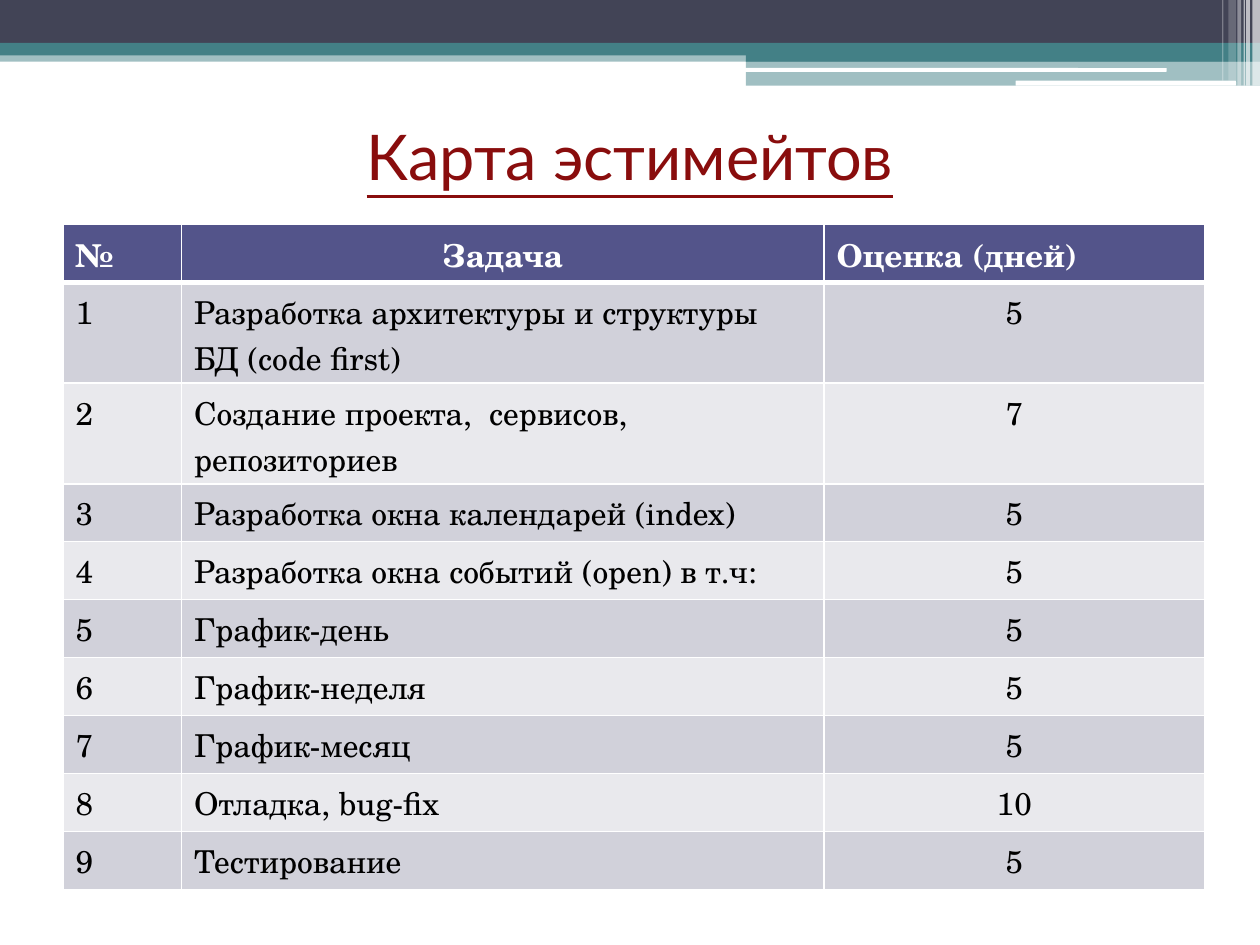
"""Build the estimate map slide: a layered header band, a title and a task table."""
from dataclasses import dataclass

from lxml.etree import SubElement
from pptx import Presentation
from pptx.dml.color import RGBColor
from pptx.enum.shapes import MSO_SHAPE as SHAPE
from pptx.enum.text import MSO_ANCHOR as ANCHOR, PP_ALIGN as ALIGN
from pptx.oxml.ns import qn
from pptx.util import Inches, Pt


@dataclass(frozen=True)
class Theme:
    navy: str = "424456"
    teal: str = "438086"
    white: str = "FFFFFF"
    black: str = "000000"
    red: str = "890D0D"
    header: str = "53548A"
    bands: tuple = ("D1D1DA", "E9E9ED")
    title_font: str = "Lato"
    body_font: str = "TeX Gyre Schola"
    title_size: int = 36
    body_size: int = 18


class Deck:
    """Hold the theme and current slide, placing elements on a 100 by 75 grid."""

    def __init__(self, theme, cols=100, rows=75):
        self.theme = theme
        self.prs = Presentation()
        self.prs.slide_width, self.prs.slide_height = Inches(10), Inches(7.5)
        self.dx, self.dy = self.prs.slide_width / cols, self.prs.slide_height / rows
        self.s = self.prs.slides.add_slide(self.prs.slide_layouts[6])

    def box(self, x, y, w, h):
        return [round(v * d) for v, d in zip((x, y, w, h), (self.dx, self.dy) * 2)]

    def bar(self, at, color, alpha=100, kind=SHAPE.RECTANGLE):
        sp = self.s.shapes.add_shape(kind, *self.box(*at))
        sp.shadow.inherit = False
        sp.line.fill.background()
        self.paint(sp.fill, color)
        if alpha < 100:
            clr = sp.element.spPr.find(qn("a:solidFill"))[0]
            SubElement(clr, qn("a:alpha"), val=str(alpha * 1000))

    def paint(self, fill, color):
        fill.solid()
        fill.fore_color.rgb = RGBColor.from_string(color)

    def label(self, tf, text, color, align=ALIGN.LEFT, **fmt):
        p = tf.paragraphs[0]
        p.alignment = align
        r = p.add_run()
        r.text = text
        r.font.color.rgb = RGBColor.from_string(color)
        for name, value in fmt.items():
            setattr(r.font, name, value)

    def title(self, at, text):
        t = self.theme
        tf = self.s.shapes.add_textbox(*self.box(*at)).text_frame
        tf.word_wrap, tf.vertical_anchor = True, ANCHOR.MIDDLE
        self.label(tf, text, t.red, ALIGN.CENTER, name=t.title_font,
                   size=Pt(t.title_size), underline=True)

    def borders(self, cell, **widths):
        pr = cell._tc.get_or_add_tcPr()
        for side, width in widths.items():
            ln = SubElement(pr, qn(f"a:ln{side}"), w=str(Pt(width)))
            fill = SubElement(ln, qn("a:solidFill"))
            SubElement(fill, qn("a:srgbClr"), val=self.theme.white)

    def table(self, x, y, widths, heights, rows, aligns):
        t = self.theme
        at = self.box(x, y, sum(widths), sum(heights))
        tbl = self.s.shapes.add_table(len(rows), len(widths), *at).table
        for col, w in zip(tbl.columns, widths):
            col.width = round(w * self.dx)
        for i, (row, h) in enumerate(zip(rows, heights)):
            tbl.rows[i].height = round(h * self.dy)
            head = i == 0
            for j, text in enumerate(row):
                cell = tbl.cell(i, j)
                self.borders(cell, L=1, R=1, T=3 if i == 1 else 1, B=3 if head else 1)
                self.paint(cell.fill, t.header if head else t.bands[(i - 1) % 2])
                self.label(cell.text_frame, text, t.white if head else t.black,
                           aligns[head][j], name=t.body_font, size=Pt(t.body_size),
                           bold=head)


THEME = Theme()
BARS = [
    ((0, 4, 100, 0.9), THEME.teal, 50),
    ((0, 0, 100, 3.4), THEME.navy, 100),
    ((0, 3.4, 100, 1), THEME.teal, 100),
    ((59.2, 3.9, 40.8, 1), THEME.teal, 100),
    ((59.2, 4.8, 40.8, 2), THEME.teal, 50),
]
PILLS = [(59.1, 5.4, 33.5, 0.3), (80.6, 6.4, 17.5, 0.4)]
STRIPES = [(99.4, 0.6, 6.8, 65), (98.9, 0.3, 6.8, 65), (98.7, 0.1, 6.8, 60),
           (98.2, 0.3, 6.8, 40), (97.5, 0.6, 6.4, 20), (97, 0.1, 6.4, 30)]
HEADINGS = ("№", "Задача", "Оценка (дней)")
TASKS = [
    ("Разработка архитектуры и структуры БД (code first)", 5),
    ("Создание проекта,  сервисов, репозиториев", 7),
    ("Разработка окна календарей (index)", 5),
    ("Разработка окна событий (open) в т.ч:", 5),
    ("График-день", 5),
    ("График-неделя", 5),
    ("График-месяц", 5),
    ("Отладка, bug-fix", 10),
    ("Тестирование", 5),
]


def main():
    deck = Deck(THEME)
    for at, color, alpha in BARS:
        deck.bar(at, color, alpha)
    for at in PILLS:
        deck.bar(at, THEME.white, kind=SHAPE.ROUNDED_RECTANGLE)
    for x, w, h, alpha in STRIPES:
        deck.bar((x, 0, w, h), THEME.white, alpha)
    deck.title((5, 9.2, 90, 6.3), "Карта эстимейтов")
    rows = [HEADINGS] + [(str(n), task, str(days))
                         for n, (task, days) in enumerate(TASKS, 1)]
    heights = [4.6] + [8] * 2 + [4.6] * 7
    aligns = {True: (ALIGN.LEFT, ALIGN.CENTER, ALIGN.LEFT),
              False: (ALIGN.LEFT, ALIGN.LEFT, ALIGN.CENTER)}
    deck.table(5, 17.8, (9.4, 51, 30.2), heights, rows, aligns)
    deck.prs.save("out.pptx")


if __name__ == "__main__":
    main()
